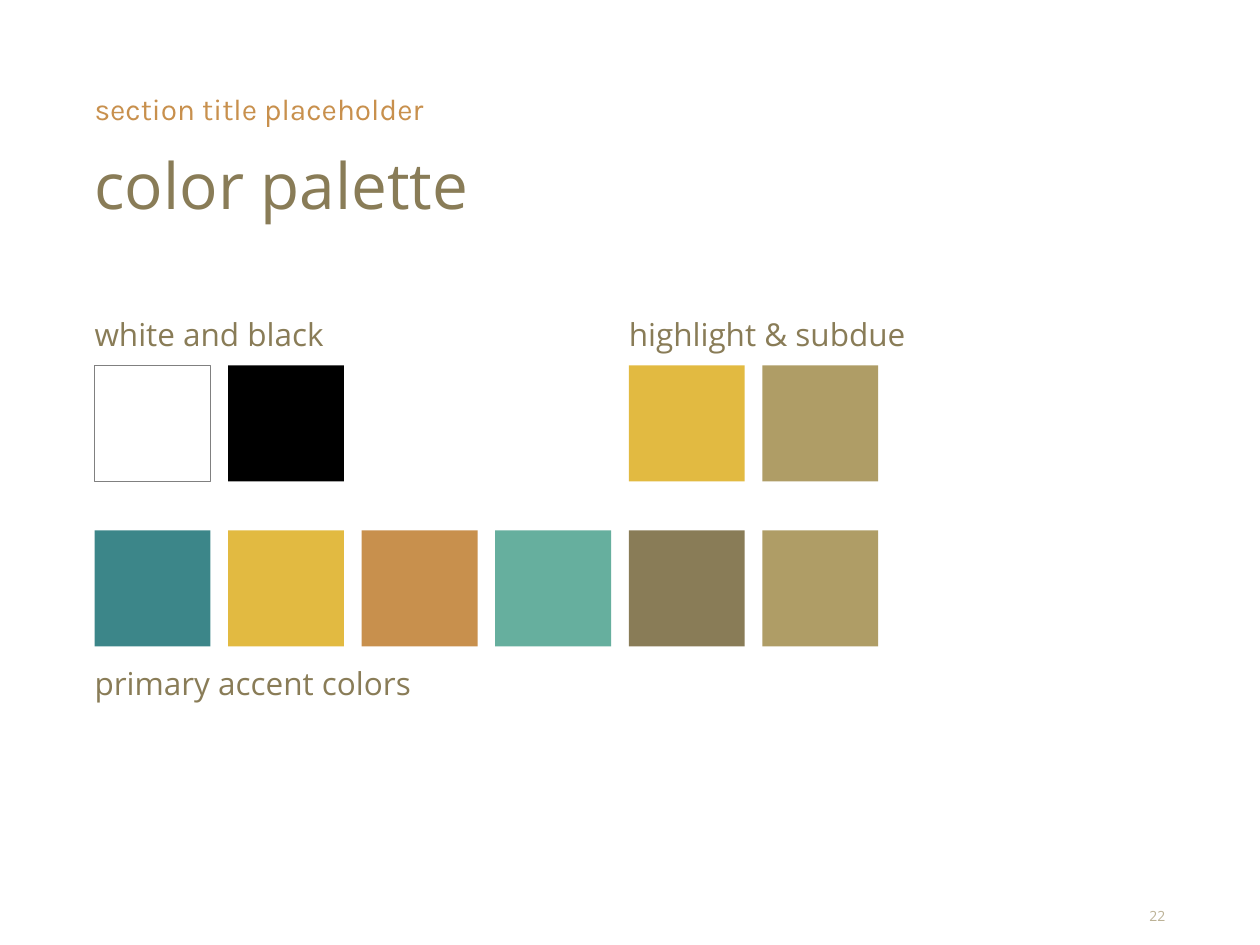
"""Build the color palette slide."""
from dataclasses import dataclass

from lxml import etree
from pptx import Presentation
from pptx.dml.color import RGBColor
from pptx.enum.shapes import MSO_SHAPE
from pptx.enum.text import MSO_ANCHOR, MSO_AUTO_SIZE, PP_ALIGN
from pptx.oxml.ns import qn
from pptx.util import Inches, Pt

RECTANGLE = MSO_SHAPE.RECTANGLE
TOP, BOTTOM = MSO_ANCHOR.TOP, MSO_ANCHOR.BOTTOM
LEFT, RIGHT = PP_ALIGN.LEFT, PP_ALIGN.RIGHT
NO_AUTOFIT = MSO_AUTO_SIZE.NONE


@dataclass(frozen=True)
class Theme:
    white: str = "FFFFFF"
    black: str = "000000"
    outline: str = "808080"
    teal: str = "3C8689"
    gold: str = "E2BA41"
    orange: str = "C8904D"
    mint: str = "66AF9E"
    olive: str = "897C57"
    sand: str = "AF9D66"
    muted: str = "BCB296"
    font: str = "Open Sans"
    section_font: str = "Karla"
    title_size: float = 36.5
    section_size: float = 17
    label_size: float = 18
    number_size: float = 8


class PaletteSlide:
    def __init__(self, slide, theme):
        self.slide = slide
        self.theme = theme

    def set_text(self, shape, box, text, size, color, font=None,
                 spacing=1.0, align=LEFT, anchor=TOP):
        shape.left, shape.top, shape.width, shape.height = map(Inches, box)
        frame = shape.text_frame
        frame.text = text
        frame.word_wrap = True
        frame.auto_size = NO_AUTOFIT
        frame.vertical_anchor = anchor
        frame.margin_left = frame.margin_right = 0
        frame.margin_top = frame.margin_bottom = 0
        paragraph = frame.paragraphs[0]
        paragraph.alignment = align
        paragraph.line_spacing = spacing
        paragraph.space_before = Pt(0)
        run_font = paragraph.runs[0].font
        run_font.name = font or self.theme.font
        run_font.size = Pt(size)
        run_font.color.rgb = RGBColor.from_string(color)
        return paragraph

    def title(self, text, box):
        self.set_text(self.slide.shapes.title, box, text, self.theme.title_size,
                      self.theme.olive, spacing=0.85)

    def section(self, text, box):
        paragraph = self.set_text(
            self.slide.placeholders[1], box, text, self.theme.section_size,
            self.theme.orange, self.theme.section_font, spacing=0.85)
        properties = paragraph._p.get_or_add_pPr()
        properties.set("marL", "0")
        properties.set("indent", "0")
        etree.SubElement(properties, qn("a:buNone"))

    def text(self, text, box, size, color, **layout):
        shape = self.slide.shapes.add_textbox(*map(Inches, box))
        self.set_text(shape, box, text, size, color, **layout)

    def label(self, text, box):
        self.text(text, box, self.theme.label_size, self.theme.olive, spacing=1.2)

    def swatch(self, left, top, side, color):
        swatch = self.slide.shapes.add_shape(
            RECTANGLE, *map(Inches, (left, top, side, side)))
        swatch.shadow.inherit = False
        swatch.fill.solid()
        swatch.fill.fore_color.rgb = RGBColor.from_string(color)
        if color == self.theme.white:
            swatch.line.color.rgb = RGBColor.from_string(self.theme.outline)
            swatch.line.width = Pt(0.25)
        else:
            swatch.line.fill.background()

    def swatches(self, left, top, colors, side=0.92, pitch=1.06):
        for column, color in enumerate(colors):
            self.swatch(left + column * pitch, top, side, color)


theme = Theme()
presentation = Presentation()
presentation.slide_width = Inches(10)
presentation.slide_height = Inches(7.5)
palette = PaletteSlide(
    presentation.slides.add_slide(presentation.slide_layouts[1]), theme)

margin, highlight_left = 0.75, 4.99
upper_top, lower_top, label_top = 2.9, 4.21, 2.44

palette.text("22", (8.93, 7.21, 0.32, 0.13), theme.number_size, theme.muted,
             align=RIGHT, anchor=BOTTOM)
palette.title("color palette", (margin, 1.25, 8.5, 1))
palette.section("section title placeholder", (margin, 0.76, 8.5, 0.49))

palette.swatches(margin, upper_top, [theme.white, theme.black])
palette.swatches(highlight_left, upper_top, [theme.gold, theme.sand])
palette.swatches(margin, lower_top, [theme.teal, theme.gold, theme.orange,
                                     theme.mint, theme.olive, theme.sand])

palette.label("white and black", (margin, label_top, 1.98, 0.36))
palette.label("highlight & subdue", (highlight_left, label_top, 2.42, 0.36))
palette.label("primary accent colors", (margin, 5.21, 6.21, 0.33))

presentation.save("out.pptx")
